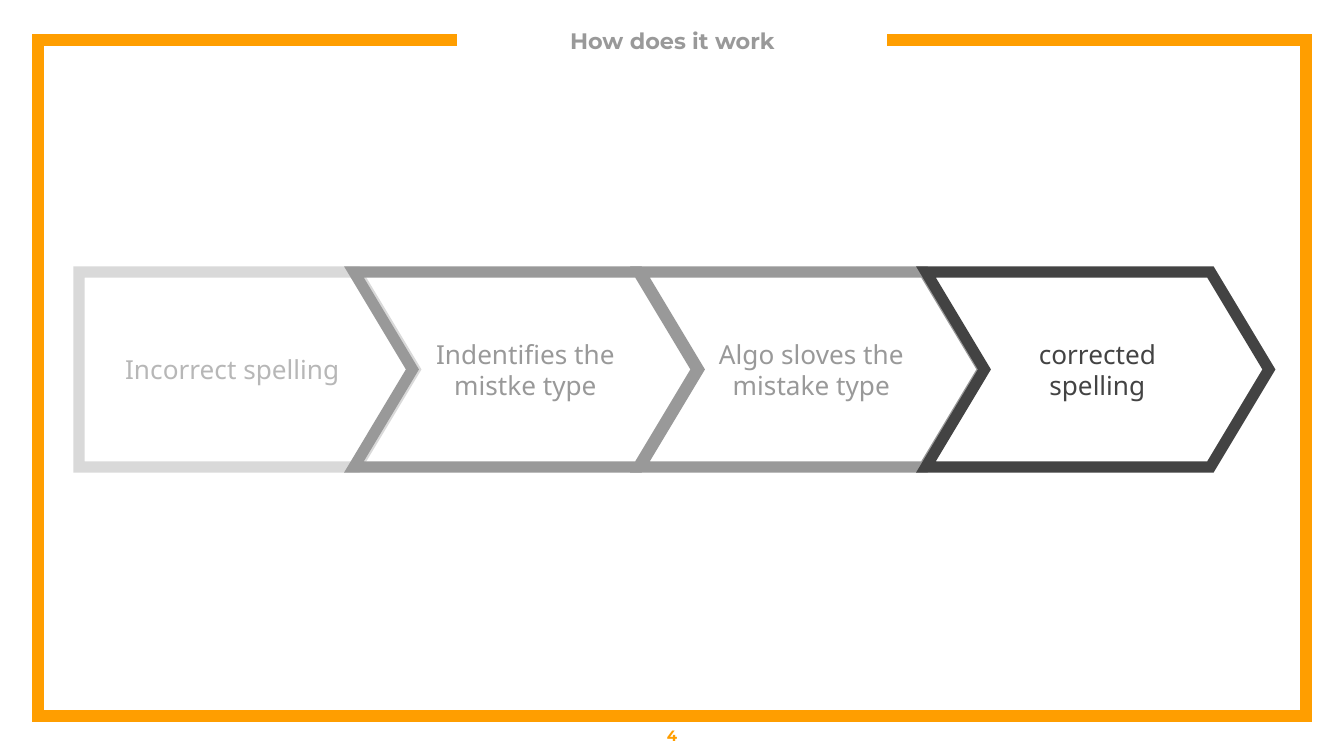
from pptx import Presentation, util as u
from pptx.dml.color import RGBColor
from pptx.enum import shapes as s, text as t
from pptx.oxml.ns import qn
from lxml import etree

SCALE = 914400 / 134.4
ORANGE, GRAY, DARK = "FF9E00", "999999", "434343"


def px(n):
    return u.Emu(round(n * SCALE))


def color(code):
    return RGBColor.from_string(code)


def outline(shape, code):
    shape.shadow.inherit = False
    shape.fill.background()
    shape.line.color.rgb = color(code)
    shape.line.width = u.Pt(6)
    join = etree.SubElement(shape.line._ln, qn("a:miter"))
    join.set("lim", "800000")


def write(shape, words, font, size, code, bold=False, inset=13):
    frame = shape.text_frame
    frame.text = words
    frame.word_wrap = True
    frame.auto_size = t.MSO_AUTO_SIZE.NONE
    frame.vertical_anchor = t.MSO_ANCHOR.MIDDLE
    frame.margin_left = frame.margin_right = px(inset)
    frame.margin_top = frame.margin_bottom = px(inset)
    para = frame.paragraphs[0]
    para.alignment = t.PP_ALIGN.CENTER
    face = para.runs[0].font
    face.name, face.size, face.bold = font, u.Pt(size), bold
    face.color.rgb = color(code)


def add_frame(slide, x, y, w, h, arm):
    pen = slide.shapes.build_freeform(x + arm, y, scale=SCALE)
    pen.add_line_segments([(x, y), (x, y + h), (x + w, y + h),
                           (x + w, y), (x + w - arm, y)], close=False)
    outline(pen.convert_to_shape(), ORANGE)


def add_title(slide, x, y, w, h, words):
    title = slide.shapes.title
    title.left, title.top, title.width, title.height = map(px, (x, y, w, h))
    write(title, words, "Montserrat", 12, GRAY, True, 0)


def add_step(slide, x, y, w, h, kind, words, edge, ink):
    step = slide.shapes.add_shape(kind, px(x), px(y), px(w), px(h))
    step.adjustments[0] = 0.3
    outline(step, edge)
    write(step, words, "Noto Sans", 14, ink)


def add_flow(slide, x, y, h):
    add_step(slide, x, y, 336, h, s.MSO_SHAPE.PENTAGON,
             "Incorrect spelling", "D9D9D9", "B7B7B7")
    steps = [(1, "Algo sloves the mistake type", GRAY),
             (2, "corrected spelling", DARK),
             (0, "Indentifies the mistke type", GRAY)]
    for col, words, code in steps:
        add_step(slide, x + 275 + 286 * col, y, 343, h,
                 s.MSO_SHAPE.CHEVRON, words, code, code)


def add_number(slide, x, y, w, h, words):
    box = slide.shapes.add_textbox(px(x), px(y), px(w), px(h))
    write(box, words, "Montserrat", 8, ORANGE, True)


deck = Presentation()
deck.slide_width, deck.slide_height = px(1344), px(756)
slide = deck.slides.add_slide(deck.slide_layouts[5])
add_frame(slide, 38, 40, 1268, 676, 419)
add_title(slide, 477, 15, 391, 52, "How does it work")
add_flow(slide, 79, 272, 195)
add_number(slide, 0, 716, 1344, 40, "4")
deck.save("out.pptx")
